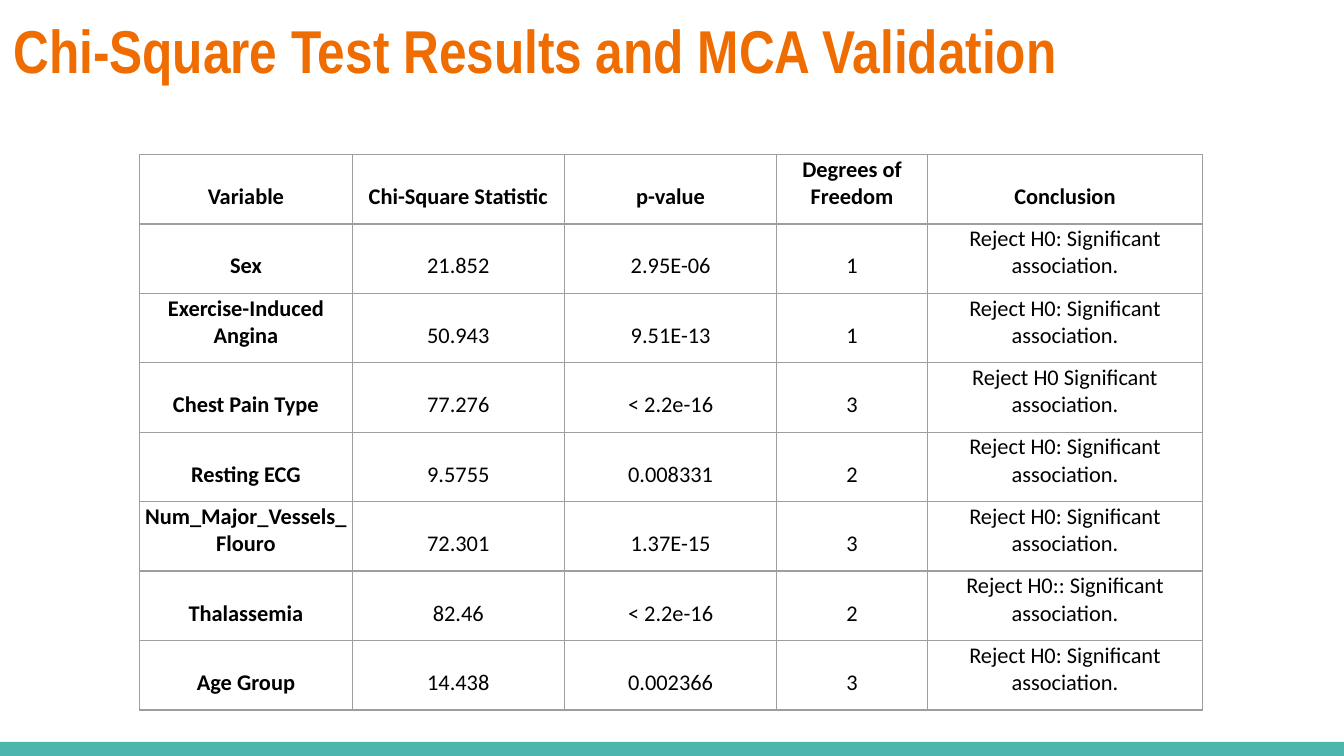
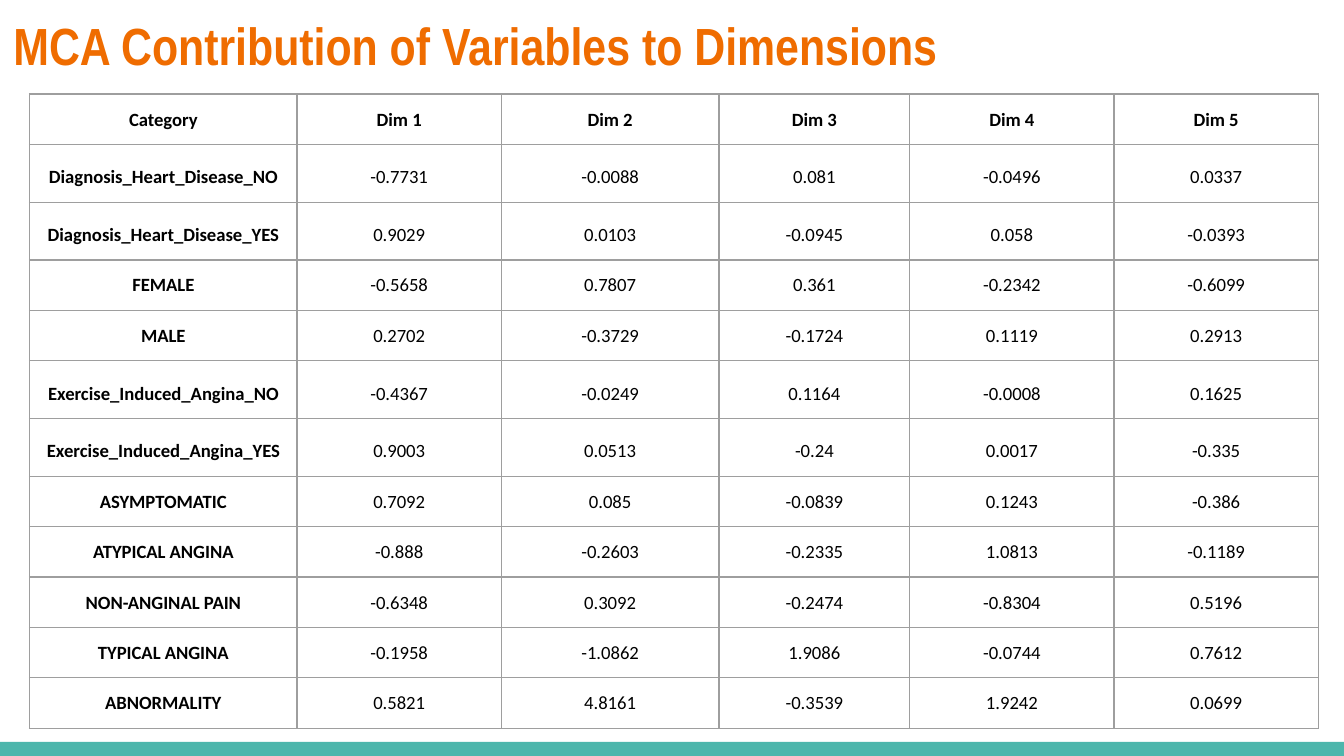
from lxml import etree
from pptx import Presentation
from pptx import util as u
from pptx.dml.color import RGBColor
from pptx.enum import shapes, text
from pptx.oxml import ns

COLORS = {
    "title": "EF6C00",
    "band": "4DB6AC",
    "border": "9E9E9E",
    "ink": "000000",
    "background": "FFFFFF",
}
TITLE_FONT, TABLE_FONT = "Arial Narrow", "Calibri"
SHORT_ROW, TALL_ROW = 3 / 8, 0.43


class Deck:
    """Holds the shared style and the slide being built."""

    def __init__(self):
        self.prs = Presentation()
        self.prs.slide_width = u.Inches(10)
        self.prs.slide_height = u.Inches(10 * 9 / 16)
        self.slide = None

    def new_slide(self, title, size):
        self.slide = self.prs.slides.add_slide(self.prs.slide_layouts[5])
        background = self.slide.background.fill
        background.solid()
        background.fore_color.rgb = self.color("background")
        self.band()
        self.title(title, size)

    def color(self, name):
        return RGBColor.from_string(COLORS[name])

    def style(self, paragraph, font, size, color, bold):
        for run in paragraph.runs:
            run.font.name, run.font.size = font, u.Pt(size)
            run.font.bold = bold
            run.font.color.rgb = self.color(color)

    def band(self):
        band = self.slide.shapes.add_shape(
            shapes.MSO_SHAPE.RECTANGLE, 0, u.Inches(5.52), u.Inches(10), u.Inches(0.11))
        band.shadow.inherit = False
        band.fill.solid()
        band.fill.fore_color.rgb = self.color("band")
        band.line.fill.background()

    def title(self, words, size):
        title = self.slide.shapes.title
        title.left = title.top = 0
        title.width, title.height = u.Inches(9.32), u.Inches(0.77)
        frame = title.text_frame
        frame.text = words
        frame.word_wrap = True
        frame.auto_size = text.MSO_AUTO_SIZE.NONE
        frame.vertical_anchor = text.MSO_ANCHOR.TOP
        frame.margin_left = frame.margin_right = u.Inches(0.1)
        frame.margin_top = frame.margin_bottom = u.Inches(0.1)
        frame.paragraphs[0].alignment = text.PP_ALIGN.LEFT
        self.style(frame.paragraphs[0], TITLE_FONT, size, "title", True)

    def table(self, rows, left, top, height, widths, heights, size):
        holder = self.slide.shapes.add_table(
            len(rows), len(widths), u.Inches(left), u.Inches(top),
            u.Inches(sum(widths)), u.Inches(height))
        grid = holder.table
        grid.first_row = grid.horz_banding = False
        for column, width in zip(grid.columns, widths):
            column.width = u.Inches(width)
        for row, row_height in zip(grid.rows, heights):
            row.height = u.Inches(row_height)
        holder.height = u.Inches(height)
        for r, row in enumerate(rows):
            for c, words in enumerate(row):
                self.cell(grid.cell(r, c), words, size, bold=r == 0 or c == 0)

    def cell(self, cell, words, size, bold):
        cell.text_frame.text = words
        cell.vertical_anchor = text.MSO_ANCHOR.BOTTOM
        cell.margin_left = cell.margin_right = cell.margin_top = u.Inches(0.01)
        cell.margin_bottom = u.Inches(0.1)
        paragraph = cell.text_frame.paragraphs[0]
        paragraph.alignment = text.PP_ALIGN.CENTER
        # Plain numbers are set slightly looser than words
        if words[0] in "-0123456789":
            paragraph.line_spacing = 1.15
        self.style(paragraph, TABLE_FONT, size, "ink", bold)
        self.borders(cell)
        cell.fill.background()

    def borders(self, cell):
        properties = cell._tc.get_or_add_tcPr()
        for side in ("lnL", "lnR", "lnT", "lnB"):
            line = etree.SubElement(properties, ns.qn(f"a:{side}"), w=str(u.Pt(0.75)))
            fill = etree.SubElement(line, ns.qn("a:solidFill"))
            etree.SubElement(fill, ns.qn("a:srgbClr"), val=COLORS["border"])


REJECT = "Reject H0: Significant association."
CHI_SQUARE = [
    ("Variable", "Chi-Square Statistic", "p-value", "Degrees of Freedom", "Conclusion"),
    ("Sex", "21.852", "2.95E-06", "1", REJECT),
    ("Exercise-Induced Angina", "50.943", "9.51E-13", "1", REJECT),
    ("Chest Pain Type", "77.276", "< 2.2e-16", "3", "Reject H0 Significant association."),
    ("Resting ECG", "9.5755", "0.008331", "2", REJECT),
    ("Num_Major_Vessels_Flouro", "72.301", "1.37E-15", "3", REJECT),
    ("Thalassemia", "82.46", "< 2.2e-16", "2", "Reject H0:: Significant association."),
    ("Age Group", "14.438", "0.002366", "3", REJECT),
]
CONTRIBUTIONS = [
    ("Category", "Dim 1", "Dim 2", "Dim 3", "Dim 4", "Dim 5"),
    ("Diagnosis_Heart_Disease_NO", "-0.7731", "-0.0088", "0.081", "-0.0496", "0.0337"),
    ("Diagnosis_Heart_Disease_YES", "0.9029", "0.0103", "-0.0945", "0.058", "-0.0393"),
    ("FEMALE", "-0.5658", "0.7807", "0.361", "-0.2342", "-0.6099"),
    ("MALE", "0.2702", "-0.3729", "-0.1724", "0.1119", "0.2913"),
    ("Exercise_Induced_Angina_NO", "-0.4367", "-0.0249", "0.1164", "-0.0008", "0.1625"),
    ("Exercise_Induced_Angina_YES", "0.9003", "0.0513", "-0.24", "0.0017", "-0.335"),
    ("ASYMPTOMATIC", "0.7092", "0.085", "-0.0839", "0.1243", "-0.386"),
    ("ATYPICAL ANGINA", "-0.888", "-0.2603", "-0.2335", "1.0813", "-0.1189"),
    ("NON-ANGINAL PAIN", "-0.6348", "0.3092", "-0.2474", "-0.8304", "0.5196"),
    ("TYPICAL ANGINA", "-0.1958", "-1.0862", "1.9086", "-0.0744", "0.7612"),
    ("ABNORMALITY", "0.5821", "4.8161", "-0.3539", "1.9242", "0.0699"),
]


def main():
    deck = Deck()

    # Chi-square tests
    deck.new_slide("Chi-Square Test Results and MCA Validation", 32.4)
    deck.table(CHI_SQUARE, 1.04, 1.15, 4.08, [1.58, 1.58, 1.58, 1.12, 2.05],
               [0.42] * len(CHI_SQUARE), 12)

    # Contributions to dimensions: rows with underscored categories are taller
    deck.new_slide("MCA Contribution of Variables to Dimensions", 28)
    heights = [TALL_ROW if "_" in row[0] else SHORT_ROW for row in CONTRIBUTIONS]
    deck.table(CONTRIBUTIONS, 0.22, 0.7, sum(heights),
               [1.99, 1.52, 1.62, 1.42, 1.52, 1.52], heights, 10)

    deck.prs.save("out.pptx")


if __name__ == "__main__":
    main()
